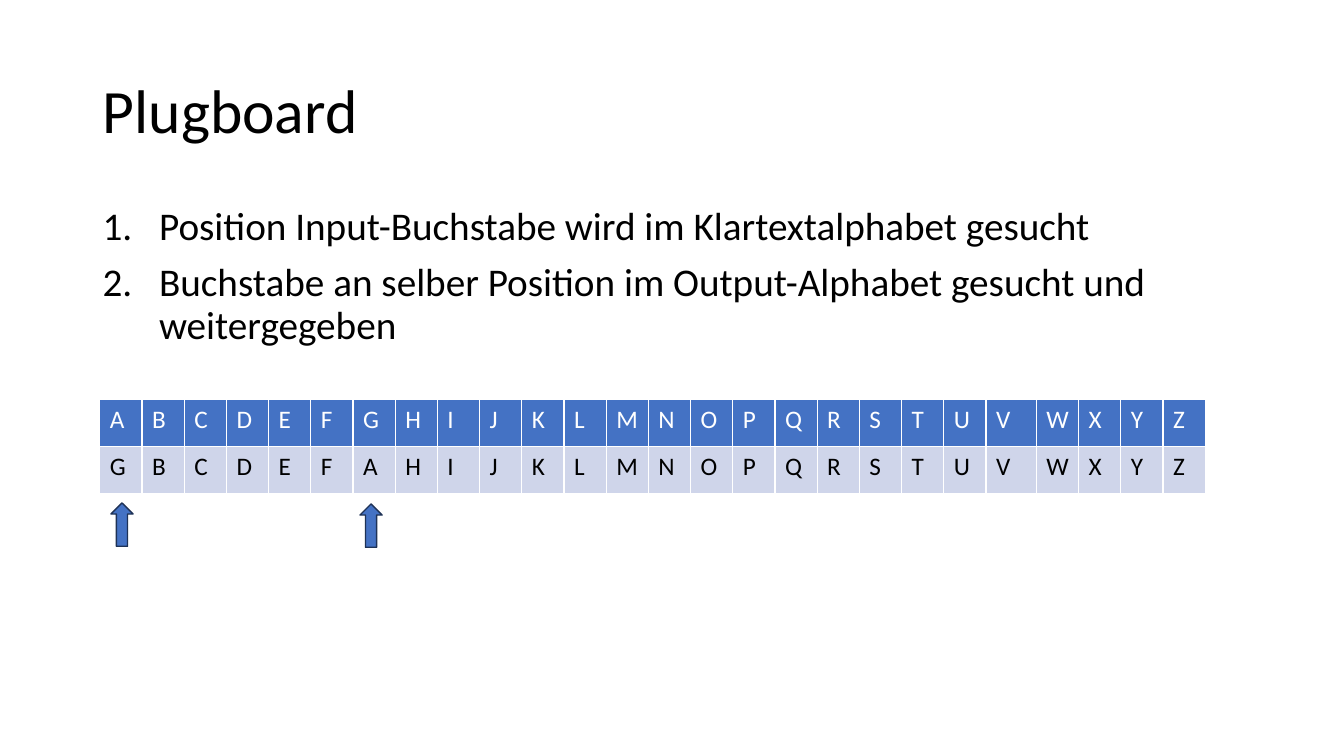
from lxml.etree import SubElement
from pptx import Presentation
from pptx.dml.color import RGBColor
from pptx.enum.shapes import MSO_SHAPE as Shape
from pptx.enum.text import MSO_ANCHOR as Anchor, PP_ALIGN as Align
from pptx.oxml.ns import qn
from pptx.util import Inches, Pt

BLACK = RGBColor(0x00, 0x00, 0x00)
WHITE = RGBColor(0xFF, 0xFF, 0xFF)
BLUE = RGBColor(0x44, 0x72, 0xC4)
PALE_BLUE = RGBColor(0xCF, 0xD5, 0xEA)
DARK_BLUE = RGBColor(0x1E, 0x32, 0x56)
FONT = "Calibri"

PLAIN_ALPHABET = "ABCDEFGHIJKLMNOPQRSTUVWXYZ"
OUTPUT_ALPHABET = "GBCDEFAHIJKLMNOPQRSTUVWXYZ"
STEPS = (
    "Position Input-Buchstabe wird im Klartextalphabet gesucht",
    "Buchstabe an selber Position im Output-Alphabet gesucht und weitergegeben",
)


def format_text(para, size, color):
    para.font.name = FONT
    para.font.size = Pt(size)
    para.font.bold = False
    para.font.color.rgb = color


def place(shape, left, top, width, height):
    shape.left, shape.top = Inches(left), Inches(top)
    shape.width, shape.height = Inches(width), Inches(height)


def add_title(slide, text, left, top, width, height):
    title = slide.shapes.title
    place(title, left, top, width, height)
    frame = title.text_frame
    frame.text = text
    frame.vertical_anchor = Anchor.MIDDLE
    para = frame.paragraphs[0]
    para.alignment = Align.LEFT
    para.line_spacing = 0.9
    format_text(para, 44, BLACK)


def number_paragraph(para):
    """Give the paragraph an automatic number with a hanging indent."""
    properties = para._p.get_or_add_pPr()
    indent = Inches(0.56)
    properties.set("marL", str(indent))
    properties.set("indent", str(-indent))
    SubElement(properties, qn("a:buFont"), typeface="+mj-lt")
    SubElement(properties, qn("a:buAutoNum"), type="arabicPeriod")


def add_steps(slide, steps, left, top, width, height):
    box = slide.shapes.add_textbox(
        Inches(left), Inches(top), Inches(width), Inches(height))
    frame = box.text_frame
    frame.word_wrap = True
    frame.text = "\n".join(steps)
    for para in frame.paragraphs:
        para.line_spacing = 0.9
        para.space_before = Pt(10)
        format_text(para, 28, BLACK)
        number_paragraph(para)


def add_alphabets(slide, left, top, width, height):
    """Add the letter table, whose V column is wider than the others."""
    count = len(PLAIN_ALPHABET)
    table = slide.shapes.add_table(
        2, count, Inches(left), Inches(top), Inches(width), Inches(height)).table
    wide = 0.5
    narrow = (width - wide) / (count - 1)
    for letter, column in zip(PLAIN_ALPHABET, table.columns):
        column.width = Inches(wide if letter == "V" else narrow)
    rows = ((PLAIN_ALPHABET, BLUE, WHITE), (OUTPUT_ALPHABET, PALE_BLUE, BLACK))
    for row, (letters, fill, color) in zip(table.rows, rows):
        for cell, letter in zip(row.cells, letters):
            cell.text = letter
            cell.fill.solid()
            cell.fill.fore_color.rgb = fill
            format_text(cell.text_frame.paragraphs[0], 18, color)


def add_up_arrow(slide, left, top, width, height):
    arrow = slide.shapes.add_shape(
        Shape.UP_ARROW, Inches(left), Inches(top), Inches(width), Inches(height))
    arrow.shadow.inherit = False
    arrow.fill.solid()
    arrow.fill.fore_color.rgb = BLUE
    arrow.line.color.rgb = DARK_BLUE
    arrow.line.width = Pt(1)


def add_plugboard(slide, left, top, width, height):
    """Add the alphabets with arrows below the swapped letters A and G."""
    add_alphabets(slide, left, top, width, height)
    for offset, gap in ((0.11, 0.09), (2.58, 0.1)):
        add_up_arrow(slide, left + offset, top + height + gap, 0.22, 0.43)


def main():
    deck = Presentation()
    deck.slide_width, deck.slide_height = Inches(13.33), Inches(7.5)
    slide = deck.slides.add_slide(deck.slide_layouts.get_by_name("Title Only"))
    add_title(slide, "Plugboard", 0.92, 0.4, 11.5, 1.45)
    add_steps(slide, STEPS, 0.92, 2, 11.5, 4.76)
    add_plugboard(slide, 0.99, 3.96, 10.97, 0.94)
    deck.save("out.pptx")


if __name__ == "__main__":
    main()
